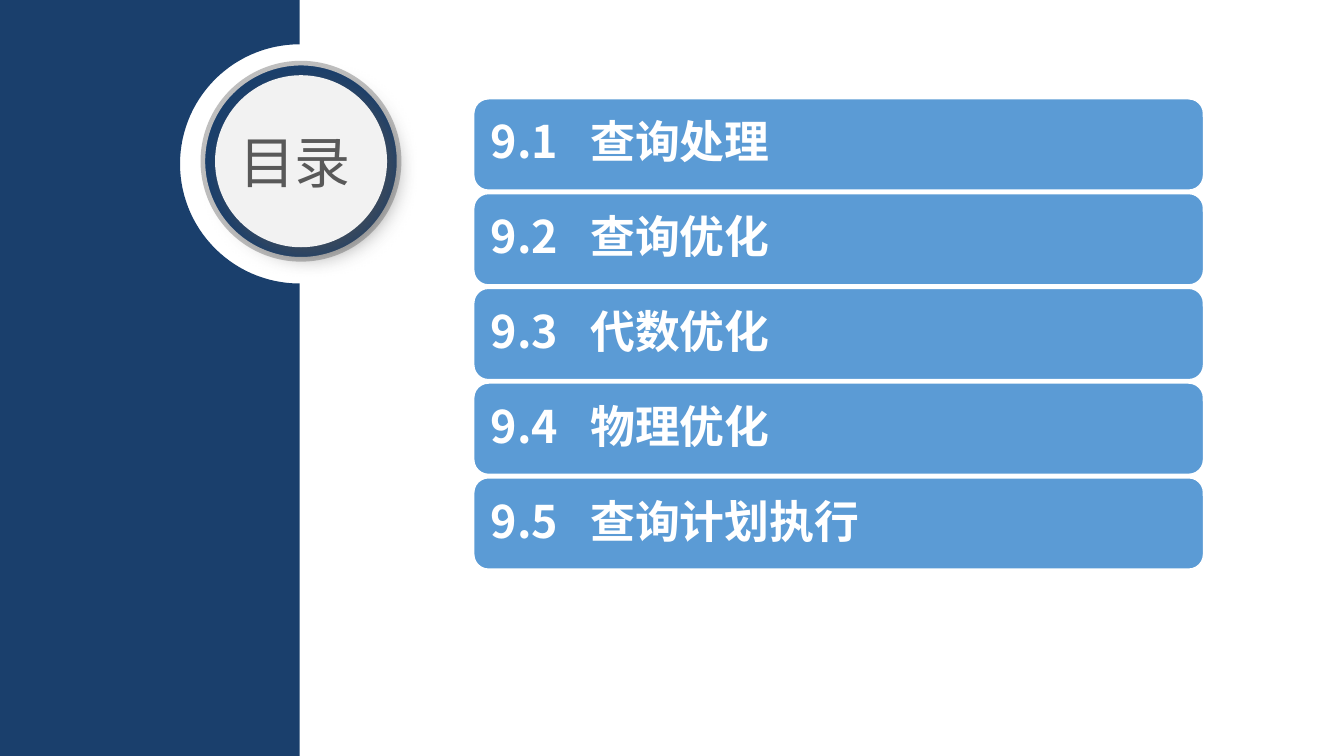
from math import cos, pi, sin

from lxml import etree
from pptx import Presentation
from pptx.dml.color import RGBColor
from pptx.enum.shapes import MSO_SHAPE as SHAPE
from pptx.enum.text import MSO_ANCHOR as ANCHOR, PP_ALIGN as ALIGN
from pptx.oxml.ns import qn
from pptx.util import Inches, Pt

WIDTH = 10
HEIGHT = WIDTH * 9 / 16
NAVY, BLUE, WHITE = "1A3F6C", "5B9BD5", "FFFFFF"
TOPICS = ["查询处理", "查询优化", "代数优化", "物理优化", "查询计划执行"]


def rgb(color):
    return RGBColor.from_string(color)


def paint(s, fill, line=None, width=0):
    s.shadow.inherit = False
    s.fill.solid()
    s.fill.fore_color.rgb = rgb(fill)
    if line:
        s.line.color.rgb = rgb(line)
        s.line.width = Pt(width)
    else:
        s.line.fill.background()


def set_font(p, name, size, color, bold=False):
    p.font.name = name
    p.font.size = Pt(size)
    p.font.bold = bold
    p.font.color.rgb = rgb(color)


def add_side_panel(slide, right, cy, radius):
    """Navy panel whose right edge has a half-round notch."""
    left, steps = -0.1, 60
    angles = [pi / 2 + pi * i / steps for i in range(steps + 1)]
    notch = [(right + radius * cos(a), cy - radius * sin(a)) for a in angles]
    points = [(right, 0), *notch, (right, HEIGHT), (left, HEIGHT)]
    builder = slide.shapes.build_freeform(Inches(left), 0, scale=1.0)
    builder.add_line_segments([(Inches(x), Inches(y)) for x, y in points])
    paint(builder.convert_to_shape(), NAVY)


def add_disc(slide, cx, cy, size, fill, line=None, width=0):
    s = slide.shapes.add_shape(SHAPE.OVAL, Inches(cx - size / 2),
                               Inches(cy - size / 2), Inches(size), Inches(size))
    paint(s, fill, line, width)
    return s


def add_shadow(s, color, opacity, blur, distance, angle):
    effects = s._element.spPr.find(qn("a:effectLst"))
    shadow = etree.SubElement(effects, qn("a:outerShdw"), blurRad=str(Pt(blur)),
                              dist=str(Pt(distance)), dir=str(angle * 60000),
                              algn="tl", rotWithShape="0")
    clr = etree.SubElement(shadow, qn("a:srgbClr"), val=color)
    etree.SubElement(clr, qn("a:alpha"), val=str(opacity * 1000))


def add_title(slide, text):
    tf = slide.shapes.add_textbox(Inches(1.5), Inches(0.91),
                                  Inches(1.39), Inches(0.58)).text_frame
    tf.word_wrap = True
    tf.margin_left = tf.margin_right = Inches(0.07)
    tf.margin_top = tf.margin_bottom = Inches(0.04)
    p = tf.paragraphs[0]
    p.text = text
    p.alignment = ALIGN.CENTER
    set_font(p, "League Spartan", 30, "595959")


def add_topic(slide, top, number, text):
    s = slide.shapes.add_shape(SHAPE.ROUNDED_RECTANGLE, Inches(3.52), Inches(top),
                               Inches(5.44), Inches(0.69))
    paint(s, BLUE, WHITE, 1.5)
    tf = s.text_frame
    tf.word_wrap = True
    tf.vertical_anchor = ANCHOR.MIDDLE
    tf.margin_left = tf.margin_right = Inches(0.1)
    tf.margin_top = tf.margin_bottom = Inches(0.1)
    p = tf.paragraphs[0]
    p.text = f"{number}\t{text}"
    p.alignment = ALIGN.LEFT
    p.line_spacing = 0.9
    font_name = "Noto Sans CJK SC"
    set_font(p, font_name, 24, WHITE, bold=True)
    defaults = p._p.pPr.find(qn("a:defRPr"))
    defaults.find(qn("a:latin")).addnext(
        etree.Element(qn("a:ea"), typeface=font_name))
    tabs = etree.Element(qn("a:tabLst"))
    etree.SubElement(tabs, qn("a:tab"), pos=str(Inches(0.74)), algn="l")
    defaults.addprevious(tabs)


def main():
    prs = Presentation()
    prs.slide_width, prs.slide_height = Inches(WIDTH), Inches(HEIGHT)
    slide = prs.slides.add_slide(prs.slide_layouts[6])

    add_side_panel(slide, right=2.23, cy=1.22, radius=0.89)
    add_disc(slide, 2.24, 1.2, 1.46, NAVY, "BFBFBF", 2.5)
    face = add_disc(slide, 2.24, 1.2, 1.28, "F2F2F2")
    add_shadow(face, "525252", opacity=64, blur=12, distance=6, angle=45)
    add_title(slide, "目录")

    for i, topic in enumerate(TOPICS):
        add_topic(slide, 0.73 + 0.705 * i, f"9.{i + 1}", topic)

    prs.save("out.pptx")


if __name__ == "__main__":
    main()
